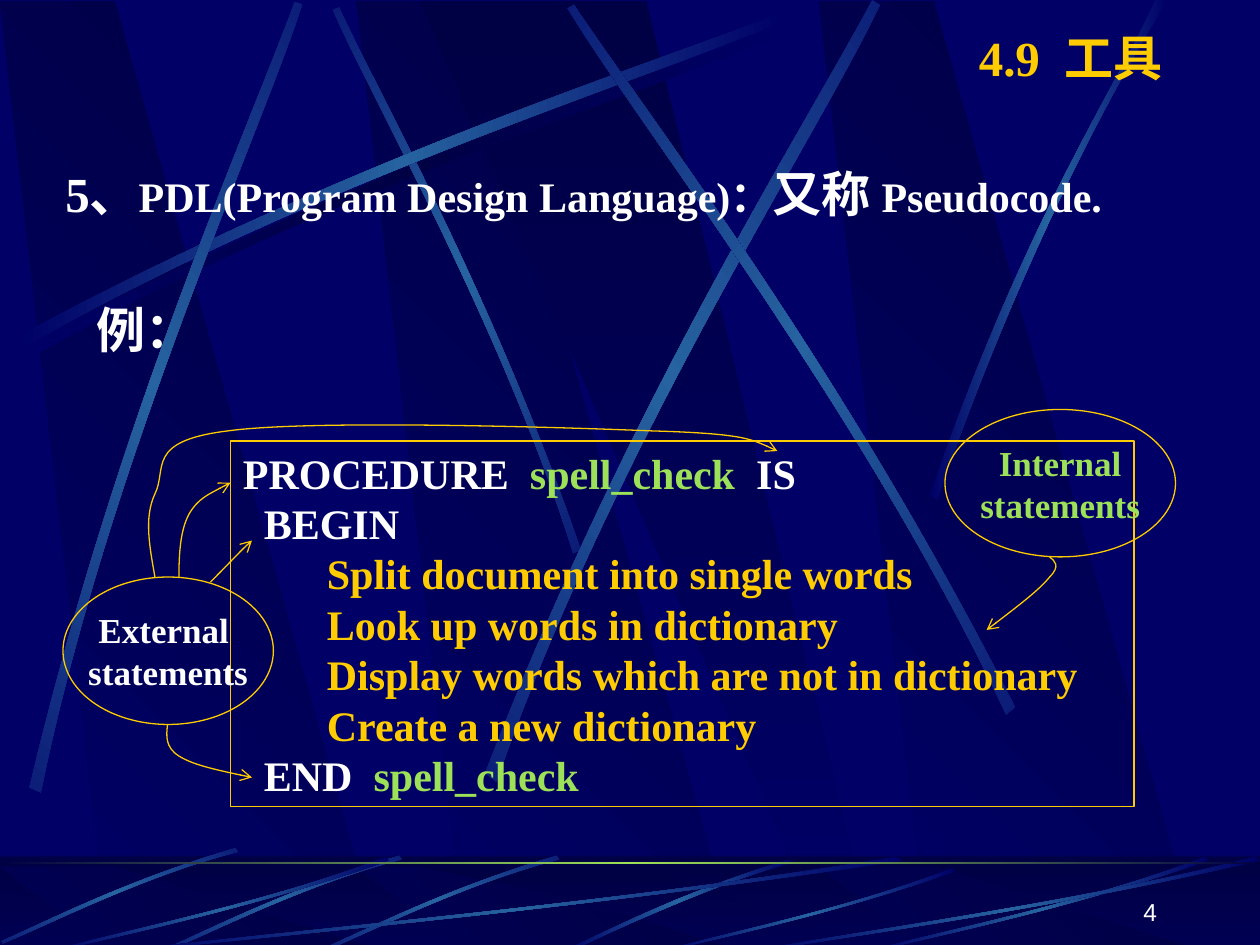
import math
from lxml import etree
from pptx import Presentation
from pptx import util as u
from pptx.dml.color import RGBColor
from pptx.enum import shapes, text
from pptx.oxml.ns import qn

COLORS = {"navy": "000066", "dark": "000044", "blue": "2663A0",
          "gold": "FFCC00", "green": "9CE157", "white": "FFFFFF"}
GLOW = ("navy", "blue", "navy")
SERIF = "Times New Roman"


def rgb(name):
    return RGBColor.from_string(COLORS[name])


def span(content, size=24, color="white", font=SERIF, bold=True):
    return dict(content=content, size=size, color=color, font=font, bold=bold)


def move(segments, dx, dy):
    return [tuple(v + (dy if i % 2 else dx) for i, v in enumerate(segment))
            for segment in segments]


def fit(segments, left, top, width, height):
    return [tuple(top + v * height if i % 2 else left + v * width
                  for i, v in enumerate(segment)) for segment in segments]


def turn_back(segments, box, angle):
    left, top, width, height = box
    cx, cy = left + width / 2, top + height / 2
    cos, sin = math.cos(math.radians(angle)), math.sin(math.radians(angle))
    turned = []
    for segment in segments:
        pairs = zip(segment[::2], segment[1::2])
        turned.append(tuple(v for x, y in pairs for v in (
            cx + (x - cx) * cos + (y - cy) * sin,
            cy - (x - cx) * sin + (y - cy) * cos)))
    return turned


class SlideMaker:
    def __init__(self, page):
        self.page = page
        page.background.fill.solid()
        page.background.fill.fore_color.rgb = rgb("navy")

    def paint(self, shape, fill=None, angle=0, line=None, alpha=None):
        shape.shadow.inherit = False
        if fill is None:
            shape.fill.background()
        elif isinstance(fill, str):
            shape.fill.solid()
            shape.fill.fore_color.rgb = rgb(fill)
            if alpha:
                color = shape._element.spPr.find(".//" + qn("a:srgbClr"))
                etree.SubElement(color, qn("a:alpha"), val=str(alpha * 1000))
        else:
            shape.fill.gradient()
            gradient = shape._element.spPr.find(qn("a:gradFill"))
            stops = gradient.find(qn("a:gsLst"))
            stops.clear()
            for i, name in enumerate(fill):
                position = str(100000 * i // (len(fill) - 1))
                stop = etree.SubElement(stops, qn("a:gs"), pos=position)
                etree.SubElement(stop, qn("a:srgbClr"), val=COLORS[name])
            gradient.find(qn("a:lin")).set("ang", str(angle * 60000))
        if line:
            shape.line.color.rgb = rgb(line)
            shape.line.width = u.Pt(0.75)
        else:
            shape.line.fill.background()

    def outline(self, segments, closed=True, **style):
        points = [(u.Inches(x), u.Inches(y)) for segment in segments
                  for x, y in zip(segment[::2], segment[1::2])]
        builder = self.page.shapes.build_freeform(*points[0], scale=1.0)
        builder.add_line_segments(points[1:], close=closed)
        shape = builder.convert_to_shape()
        steps = iter(shape._element.findall(".//" + qn("a:lnTo")))
        for segment in segments[1:]:
            step = next(steps)
            if len(segment) == 6:
                curve = etree.Element(qn("a:cubicBezTo"))
                step.addprevious(curve)
                for old in (step, next(steps), next(steps)):
                    curve.append(old[0])
                    old.getparent().remove(old)
        self.paint(shape, **style)
        return shape

    def band(self, segments, box=None, angle=0):
        if box is None:
            return self.outline(segments, fill=GLOW)
        shape = self.outline(turn_back(segments, box, angle), fill=GLOW)
        shape.left, shape.top, shape.width, shape.height = map(u.Inches, box)
        shape.rotation = angle
        return shape

    def arrow(self, segments):
        shape = self.outline(segments, closed=False, line="gold")
        line = shape._element.spPr.find(qn("a:ln"))
        etree.SubElement(line, qn("a:tailEnd"), type="arrow")

    def shape(self, box, kind=shapes.MSO_SHAPE.RECTANGLE, **style):
        shape = self.page.shapes.add_shape(kind, *map(u.Inches, box))
        self.paint(shape, **style)
        return shape

    def put_text(self, shape, lines, align=text.PP_ALIGN.LEFT,
                 anchor=text.MSO_ANCHOR.TOP, wrap=True):
        frame = shape.text_frame
        frame.word_wrap = wrap
        frame.vertical_anchor = anchor
        for i, spans in enumerate(lines):
            para = frame.add_paragraph() if i else frame.paragraphs[0]
            para.alignment = align
            for item in spans:
                run = para.add_run()
                run.text = item["content"]
                run.font.size = u.Pt(item["size"])
                run.font.name = item["font"]
                run.font.bold = item["bold"]
                run.font.color.rgb = rgb(item["color"])

    def label(self, box, spans, **layout):
        self.put_text(self.page.shapes.add_textbox(*map(u.Inches, box)), [spans], **layout)

    def bubble(self, box, lines, color):
        shape = self.shape(box, shapes.MSO_SHAPE.OVAL, line="gold")
        self.put_text(shape, [[span(line, 20, color)] for line in lines],
                      text.PP_ALIGN.CENTER, text.MSO_ANCHOR.MIDDLE, wrap=False)

    def shards(self, top, height):
        shard = [(0.86, 1), (3.02, 1), (0.91, 0), (0, 0)]
        for left in (2.83, 0, 6.5):
            self.outline(fit(shard, left, top, 1, height), fill=("navy", "dark"), angle=315)
        beam = [(3.33, 0), (6.58, 1), (6.94, 1), (5.13, 0)]
        self.outline(fit(beam, 0, top, 1, height), fill=("dark", "navy"), angle=90)


def draw_backdrop(maker):
    maker.shards(0.01, 7.51)
    sweep = [(0.14, 2.67), (2.78, 1.25, 5.18, 0.51, 6.2, 0.1), (6.23, 0.16),
             (5.22, 0.61, 2.48, 1.43, 0.17, 2.77)]
    maker.outline(move(sweep, 0.06, 0.08), fill=("navy", "dark", "navy"))
    maker.band([(4.6, 4.36), (3.91, 2.34, 3.02, 0.77, 2.69, 0.05), (2.64, 0.07),
                (2.95, 0.79, 3.98, 2.58, 4.54, 4.39)], (1.41, 1.35, 4.42, 1.75), 45)
    maker.band(sweep)
    maker.band([(0.23, 6.25), (0.93, 3.34, 1.97, 1.05, 2.35, 0.02), (2.41, 0.04),
                (2.07, 1.08, 0.86, 3.68, 0.32, 6.29)], (-1.71, 1.82, 6.08, 2.67), 311.7)
    maker.band([(3.85, 6.14), (4.98, 3.2, 6.38, 1.02, 6.92, 0), (6.98, 0.04),
                (6.49, 1.08, 4.86, 3.55, 3.94, 6.21)], (2.31, 1.6, 6.24, 3.01), 321.6)
    maker.band([(8.06, 5.6), (6.7, 2.93, 5.16, 0.95, 4.55, 0.04), (4.5, 0.07),
                (5.07, 1.01, 6.85, 3.25, 7.99, 5.66)], (3.23, 1.52, 6.08, 2.67), 34.8)
    maker.band([(7.38, 3.93), (8.14, 1.73, 8.88, 0.66, 9.17, 0), (9.27, 0),
                (8.36, 1.45, 7.69, 3.22, 7.44, 3.97)])


def draw_footer(maker):
    maker.shape((0, 6.8, 10, 0.75), fill=("dark", "navy"), angle=90)
    maker.shards(6.88, 0.66)
    maker.shape((0, 6.79, 10, 0.75), fill="dark", alpha=50)
    maker.band([(6.27, 6.82), (5.37, 7.09, 4.77, 7.42, 4.48, 7.54), (4.53, 7.55),
                (4.9, 7.37, 5.71, 7, 6.28, 6.85)])
    arc = [(4.42, 6.8), (3.55, 7.05, 2.87, 7.4, 2.56, 7.53), (2.57, 7.55),
           (2.88, 7.43, 3.65, 7.03, 4.44, 6.83)]
    for dx, dy in ((0, 0), (-1.25, 0), (-2.55, -0.06)):
        maker.band(move(arc, dx, dy), (2.58 + dx, 6.76 + dy, 1.84, 0.83), 314.9)
    streak = [(1, 0.04), (0.57, 0.57, 0.17, 0.85, 0.01, 1), (0, 0.99),
              (0.17, 0.81, 0.62, 0.51, 0.99, 0)]
    for left, top, width in ((1, 6.8, 6.17), (0.42, 6.8, 2.67), (5.27, 6.89, 2.31),
                             (6.92, 6.8, 2.67), (6, 6.8, 4)):
        maker.band(fit(streak, left, top, width, 7.55 - top))
    maker.shape((0, 6.84, 10, 0.02), fill=("dark", "green", "dark"))
    maker.label((7.2, 6.9, 2.08, 0.5), [span("4", 14, font="Arial", bold=False)],
                align=text.PP_ALIGN.RIGHT, anchor=text.MSO_ANCHOR.BOTTOM)


def draw_example(maker):
    steps = ("Split document into single words", "Look up words in dictionary",
             "Display words which are not in dictionary", "Create a new dictionary")
    name = span("spell_check", color="green")
    code = [[span("PROCEDURE  "), name, span("  IS")], [span("  BEGIN")]]
    code += [[span("        " + step, color="gold")] for step in steps]
    code.append([span("  END  "), name])
    maker.put_text(maker.shape((1.83, 3.5, 7.17, 2.9), line="gold"), code)
    maker.bubble((0.5, 4.58, 1.67, 1.17), ("External ", "statements"), "white")
    maker.bubble((7.5, 3.25, 1.83, 1.17), ("Internal", "statements"), "green")
    for route in (
            [(1.67, 4.62), (1.81, 4.48, 1.94, 4.34, 2, 4.29)],
            [(1.33, 5.75), (1.32, 5.84, 1.31, 5.93, 1.42, 6), (1.53, 6.07, 1.76, 6.12, 2, 6.17)],
            [(1.42, 4.58), (1.42, 4.4, 1.43, 4.21, 1.5, 4.08), (1.57, 3.96, 1.7, 3.9, 1.83, 3.83)],
            [(1.23, 4.58), (1.19, 4.35, 1.14, 4.11, 1.23, 3.92),
             (1.33, 3.72, 1.15, 3.5, 1.81, 3.42), (2.46, 3.33, 4.44, 3.39, 5.17, 3.42),
             (5.89, 3.44, 6.03, 3.51, 6.17, 3.58)],
            [(8.33, 4.42), (8.37, 4.45, 8.42, 4.49, 8.33, 4.58), (8.25, 4.68, 8.04, 4.84, 7.83, 5)]):
        maker.arrow(route)


def main():
    deck = Presentation()
    deck.slide_width, deck.slide_height = u.Inches(10), u.Inches(7.5)
    maker = SlideMaker(deck.slides.add_slide(deck.slide_layouts[6]))
    draw_backdrop(maker)
    draw_footer(maker)
    draw_example(maker)
    maker.label((0.42, 1.25, 8.58, 0.97), [
        span("5、", 28), span("PDL(Program Design Language)："),
        span("又称 ", 28), span("Pseudocode.")])
    maker.label((0.67, 2.33, 1.08, 0.57), [span("例：", 28)])
    maker.label((7.67, 0.17, 2.08, 0.57), [span("4.9  工具", 28, "gold")])
    deck.save("out.pptx")


if __name__ == "__main__":
    main()
